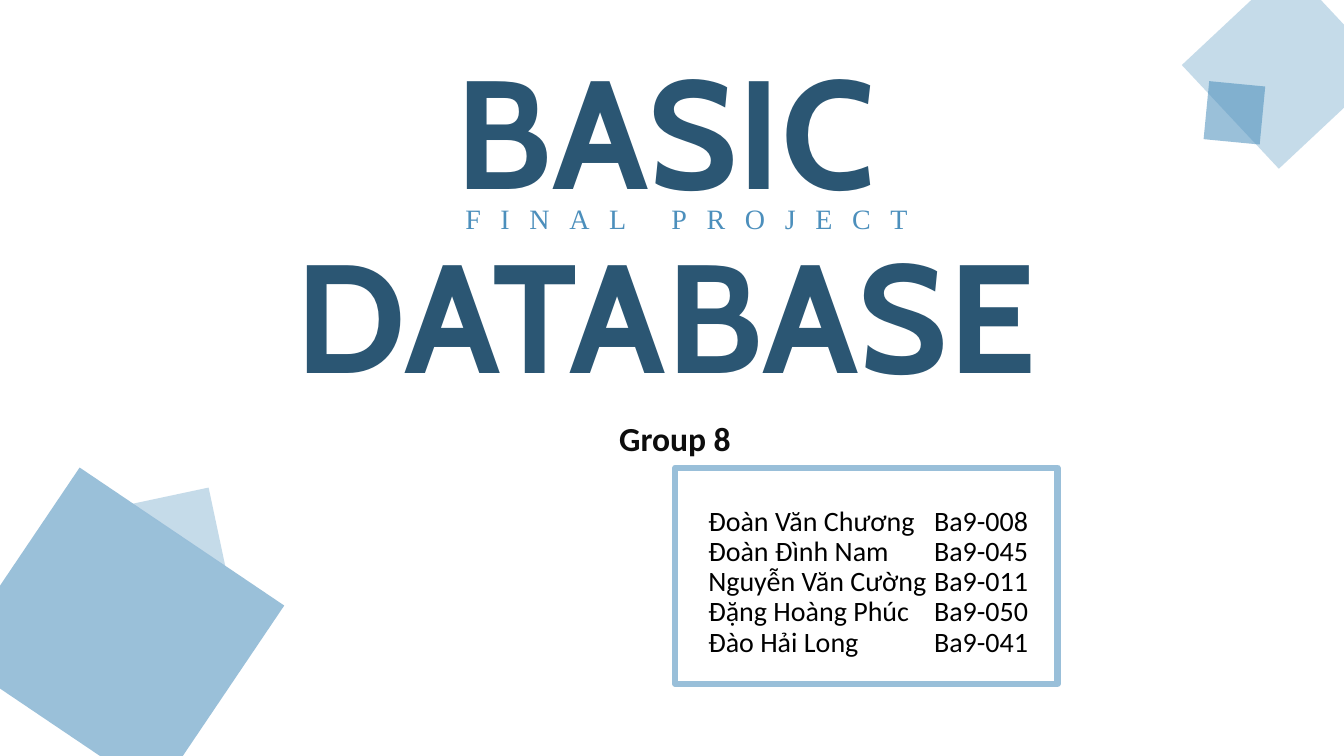
from dataclasses import dataclass

from lxml.etree import SubElement
from pptx import Presentation
from pptx.dml.color import RGBColor
from pptx.enum.shapes import MSO_SHAPE
from pptx.enum.text import MSO_ANCHOR, PP_ALIGN
from pptx.oxml.ns import qn
from pptx.util import Cm, Pt


@dataclass(frozen=True)
class Theme:
    """Hold the colours, fonts and type sizes of the slide."""
    white: str = "FFFFFF"
    black: str = "000000"
    ink: str = "0D0D0D"
    navy: str = "2B5673"
    blue: str = "4C8FBC"
    pale: str = "99BFD9"
    head: str = "Cabin"
    body: str = "Calibri"
    serif: str = "Times New Roman"
    huge: int = 110
    label: int = 24
    small: int = 20


THEME = Theme()

TEAM = [
    ("Đoàn Văn Chương", "Ba9-008"),
    ("Đoàn Đình Nam", "Ba9-045"),
    ("Nguyễn Văn Cường", "Ba9-011"),
    ("Đặng Hoàng Phúc", "Ba9-050"),
    ("Đào Hải Long", "Ba9-041"),
]


def block(slide, at, color, turn=0, alpha=None, kind=MSO_SHAPE.RECTANGLE):
    """Add a plain filled shape, turned and see-through if asked."""
    shape = slide.shapes.add_shape(kind, *map(Cm, at))
    shape.shadow.inherit = False
    shape.rotation = turn
    shape.fill.solid()
    shape.fill.fore_color.rgb = RGBColor.from_string(color)
    shape.line.fill.background()
    if alpha is not None:
        tone = shape.fill._xPr.find(".//" + qn("a:srgbClr"))
        SubElement(tone, qn("a:alpha"), val=str(alpha * 1000))
    return shape


def frame(slide, at, color, width):
    """Add a white box with a coloured border."""
    shape = block(slide, at, THEME.white)
    shape.line.color.rgb = RGBColor.from_string(color)
    shape.line.width = Pt(width)


def write(para, text, font, size, color, bold=False, gap=0):
    """Add one styled run, with letter gaps in points."""
    run = para.add_run()
    run.text = text
    run.font.name = font
    run.font.size = Pt(size)
    run.font.bold = bold
    run.font.color.rgb = RGBColor.from_string(color)
    if gap:
        run._r.get_or_add_rPr().set("spc", str(gap * 100))


def field(slide, at, anchor=MSO_ANCHOR.TOP):
    """Add an empty wrapping text box and return its frame."""
    text = slide.shapes.add_textbox(*map(Cm, at)).text_frame
    text.word_wrap = True
    text.vertical_anchor = anchor
    return text


def title(slide, at, words, *style, anchor=MSO_ANCHOR.TOP, space=1.0, **more):
    """Add one centred text."""
    text = field(slide, at, anchor)
    text.margin_left = text.margin_right = 0
    para = text.paragraphs[0]
    para.alignment = PP_ALIGN.CENTER
    para.line_spacing = space
    write(para, words, *style, **more)


def roster(slide, at, team, stop):
    """List names and codes in two columns set by a tab stop."""
    text = field(slide, at)
    for row, (name, code) in enumerate(team):
        para = text.add_paragraph() if row else text.paragraphs[0]
        para.line_spacing = 0.9
        tabs = SubElement(para._p.get_or_add_pPr(), qn("a:tabLst"))
        SubElement(tabs, qn("a:tab"), pos=str(Cm(stop)), algn="l")
        write(para, f"{name}\t{code}", THEME.body, THEME.small, THEME.black)


def main():
    """Build the cover slide and save it."""
    deck = Presentation()
    deck.slide_width, deck.slide_height = Cm(33.87), Cm(19.05)
    slide = deck.slides.add_slide(deck.slide_layouts[6])

    block(slide, (-0.13, 13.03, 6.22, 5.74), THEME.blue, 34, 56)
    frame(slide, (17.02, 11.79, 9.63, 5.44), THEME.pale, 4.5)
    roster(slide, (17.6, 12.65, 9.27, 4.8), TEAM, 5.69)
    title(slide, (15.09, 10.41, 3.84, 1.27), "Group 8",
          THEME.body, THEME.label, THEME.ink, bold=True)
    title(slide, (4.24, 0.76, 25.07, 9.65), "BASIC DATABASE",
          THEME.head, THEME.huge, THEME.navy, bold=True)
    title(slide, (11.18, 5.08, 12.24, 0.99), "FINAL PROJECT",
          THEME.serif, THEME.small, THEME.blue,
          anchor=MSO_ANCHOR.BOTTOM, space=0.9, gap=14)
    block(slide, (30.56, -0.15, 3.58, 3.68), THEME.pale, 46.9, 56)
    block(slide, (30.4, 2.11, 1.42, 1.47), THEME.blue, 5.5, 56)
    block(slide, (3.51, 12.47, 1.98, 2.03), THEME.pale, 168, 56,
          MSO_SHAPE.RIGHT_TRIANGLE)

    deck.save("out.pptx")


main()
